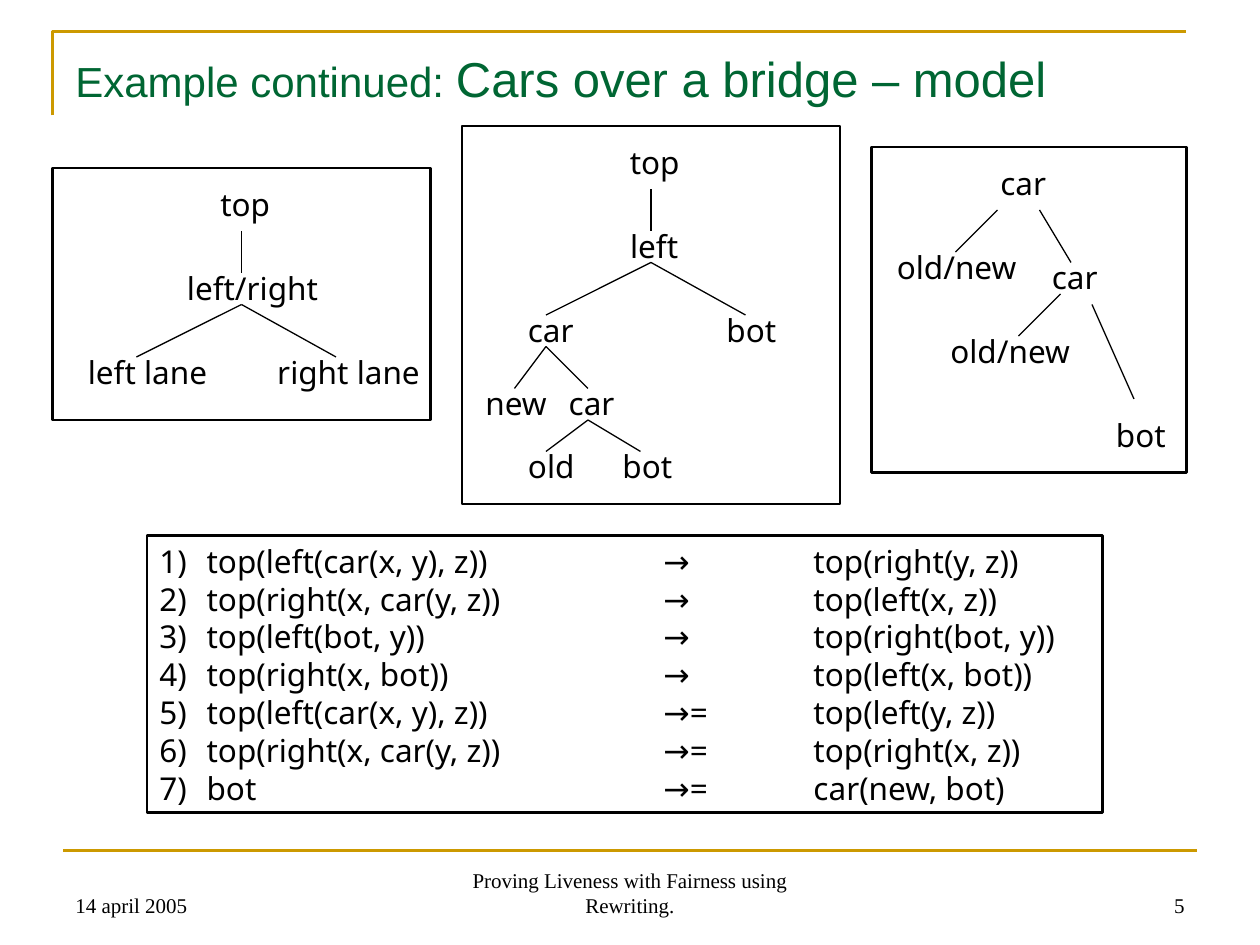
"""Slide on rewriting cars over a bridge, laid out on a grid of twelfths of an inch."""
from lxml import etree
from pptx import Presentation, util as u
from pptx.dml.color import RGBColor
from pptx.enum import shapes as es, text as et
from pptx.oxml.ns import qn

HUE = {"ink": "000000", "title": "006633", "gold": "CC9900"}
SANS, SERIF = "Noto Sans", "Times New Roman"
ALIGN, ANCHOR, FIT = et.PP_ALIGN, et.MSO_ANCHOR, et.MSO_AUTO_SIZE

TITLE = [("Example continued: ", 24), ("Cars over a bridge – model", 28)]
RULES = [
    ("top(left(car(x, y), z))", "→", "top(right(y, z))"),
    ("top(right(x, car(y, z))", "→", "top(left(x, z))"),
    ("top(left(bot, y))", "→", "top(right(bot, y))"),
    ("top(right(x, bot))", "→", "top(left(x, bot))"),
    ("top(left(car(x, y), z))", "→=", "top(left(y, z))"),
    ("top(right(x, car(y, z))", "→=", "top(right(x, z))"),
    ("bot", "→=", "car(new, bot)"),
]
TABS = (48, 62.3)
WIDTH = {"top": 7.1, "left/right": 14.9, "left lane": 13.7, "right lane": 16,
         "car": 6.7, "old/new": 13.8, "bot": 7.1, "left": 7, "new": 8.3, "old": 6.8}
SLACK = 0.5
TREES = [
    {"box": (5, 16, 36, 24),
     "nodes": [("top", 19.8, 17), ("left/right", 16.6, 25),
               ("left lane", 7.2, 33), ("right lane", 25.2, 33)],
     "edges": [(23, 22, 23, 26), (23, 29, 13, 34), (23, 29, 32, 34)]},
    {"box": (83, 14, 30, 31),
     "nodes": [("car", 94.1, 15), ("old/new", 84.2, 23), ("car", 99, 24),
               ("old/new", 89.3, 31), ("bot", 105.1, 39)],
     "edges": [(95, 20, 91, 24), (99, 20, 102, 25), (104, 29, 108, 38),
               (101, 28, 97, 32)]},
    {"box": (44, 12, 36, 36),
     "nodes": [("top", 58.8, 13), ("left", 58.8, 21), ("car", 49.1, 29),
               ("bot", 68, 29), ("new", 45, 36), ("car", 53, 36),
               ("old", 49.1, 42), ("bot", 58.1, 42)],
     "edges": [(62, 18, 62, 22), (62, 25, 52, 30), (62, 25, 71, 30),
               (52, 33, 49, 37), (52, 33, 56, 37), (56, 40, 52, 43),
               (56, 40, 61, 43)]},
]
FOOT = [("Proving Liveness with Fairness using Rewriting.", 41, 38, ALIGN.CENTER),
        ("5", 86, 28, ALIGN.RIGHT),
        ("14 april 2005", 6, 28, ALIGN.LEFT)]


def grid(*vals):
    return [u.Cm(val * 2.54 / 12) for val in vals]


def ink(line, hue, width):
    line.color.rgb = RGBColor.from_string(HUE[hue])
    line.width = u.Pt(width)


def rule(home, ends, hue="ink", width=0.75):
    line = home.add_connector(es.MSO_CONNECTOR.STRAIGHT, *grid(*ends))
    ink(line.line, hue, width)
    etree.SubElement(line._element.spPr, qn("a:effectLst"))


def frame(home, area):
    box = home.add_shape(es.MSO_SHAPE.RECTANGLE, *grid(*area))
    box.shadow.inherit = False
    box.fill.background()
    ink(box.line, "ink", 1.5)
    return box


def number(para):
    props = para._p.get_or_add_pPr()
    hang = grid(4.5)[0]
    props.set("marL", str(hang))
    props.set("indent", str(-hang))
    etree.SubElement(props, qn("a:buAutoNum"), type="arabicParenR")
    stops = etree.SubElement(props, qn("a:tabLst"))
    for stop in grid(*TABS):
        etree.SubElement(stops, qn("a:tab"), pos=str(stop), algn="l")


def write(box, rows, font=SANS, hue="ink", align=ALIGN.LEFT, anchor=ANCHOR.TOP,
          wrap=True, fit=FIT.NONE, pitch=None, listed=False):
    body = box.text_frame
    body.word_wrap, body.auto_size = wrap, fit
    body.vertical_anchor = anchor
    body.margin_left = body.margin_right = u.Cm(0.25)
    body.margin_top = body.margin_bottom = u.Cm(0.13)
    for i, row in enumerate(rows):
        para = body.add_paragraph() if i else body.paragraphs[0]
        para.alignment = align
        if pitch:
            para.line_spacing = u.Pt(pitch)
        if listed:
            number(para)
        for words, size in row:
            run = para.add_run()
            run.text = words
            run.font.name, run.font.size = font, u.Pt(size)
            run.font.color.rgb = RGBColor.from_string(HUE[hue])


def tree(home, box, nodes, edges):
    group = home.add_group_shape().shapes
    frame(group, box)
    for word, left, top in nodes:
        area = grid(left - SLACK, top, WIDTH[word] + 2 * SLACK, 4.8)
        write(group.add_textbox(*area), [[(word, 18)]], align=ALIGN.CENTER,
              wrap=False, fit=FIT.SHAPE_TO_FIT_TEXT, pitch=21.6)
    for ends in edges:
        rule(group, ends)


def main():
    deck = Presentation()
    deck.slide_width, deck.slide_height = u.Cm(25.4), u.Cm(19.05)
    home = deck.slides.add_slide(deck.slide_layouts[6]).shapes

    pen = home.build_freeform(*grid(5, 11))
    pen.add_line_segments([grid(5, 3), grid(113, 3)], close=False)
    corner = pen.convert_to_shape()
    corner.shadow.inherit = False
    corner.fill.background()
    ink(corner.line, "gold", 1.5)
    rule(home, (6, 81, 114, 81), "gold", 1.5)

    write(home.add_textbox(*grid(6, 4, 108, 15)), [TITLE], font="Arial", hue="title")
    write(frame(home, (14, 51, 91, 26.4)), [[("\t".join(row), 18)] for row in RULES],
          pitch=21.6, listed=True)
    for part in TREES:
        tree(home, **part)
    for words, left, width, align in FOOT:
        write(home.add_textbox(*grid(left, 82, width, 6)), [[(words, 12)]],
              font=SERIF, align=align, anchor=ANCHOR.BOTTOM)
    deck.save("out.pptx")


if __name__ == "__main__":
    main()
